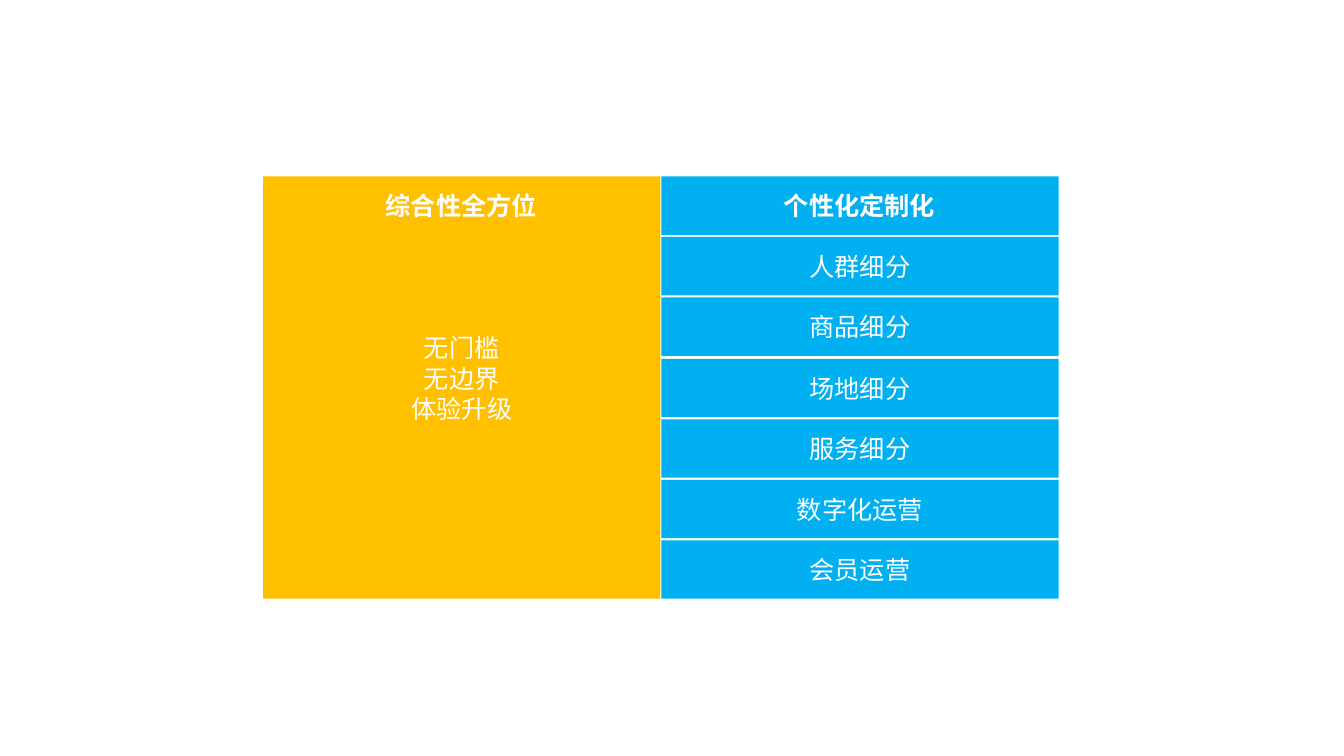
from lxml.etree import SubElement
from pptx import Presentation
from pptx.dml.color import RGBColor
from pptx.enum.shapes import MSO_SHAPE as Shape
from pptx.enum.text import MSO_ANCHOR as Anchor, MSO_AUTO_SIZE as AutoSize, PP_ALIGN as Align
from pptx.oxml.ns import qn
from pptx.util import Emu, Pt

EMU_PER_PX = 9144  # 100 px to the inch
COLORS = {"amber": "FFC000", "sky": "00B0F0", "white": "FFFFFF"}
FONT = "Noto Sans CJK SC"
LABEL_FORMAT = {
    "margin_left": 0, "margin_right": 0, "margin_top": 0, "margin_bottom": 0,
    "word_wrap": False, "auto_size": AutoSize.SHAPE_TO_FIT_TEXT,
}
BLOCK_FORMAT = {"vertical_anchor": Anchor.MIDDLE, "word_wrap": True}


def px(*lengths):
    return [Emu(length * EMU_PER_PX) for length in lengths]


def color(name):
    return RGBColor.from_string(COLORS[name])


class Builder:
    def __init__(self, width, height):
        self.deck = Presentation()
        self.deck.slide_width, self.deck.slide_height = px(width, height)
        self.page = self.deck.slides.add_slide(self.deck.slide_layouts[6])

    def fill_text(self, frame, lines, frame_format, bold=False):
        for name, value in frame_format.items():
            setattr(frame, name, value)
        span_format = {"name": FONT, "size": Pt(18), "bold": bold}
        for index, line in enumerate(lines):
            para = frame.add_paragraph() if index else frame.paragraphs[0]
            para.alignment = Align.CENTER
            span = para.add_run()
            span.text = line
            for name, value in span_format.items():
                setattr(span.font, name, value)
            span.font.color.rgb = color("white")
            # East Asian typeface
            SubElement(span.font._element, qn("a:ea"), typeface=FONT)

    def block(self, left, top, width, height, fill, text=None):
        box = self.page.shapes.add_shape(Shape.RECTANGLE, *px(left, top, width, height))
        box.shadow.inherit = False
        box.fill.solid()
        box.fill.fore_color.rgb = color(fill)
        box.line.fill.background()
        if text:
            self.fill_text(box.text_frame, [text], BLOCK_FORMAT)

    def label(self, left, top, width, height, lines, bold=False):
        box = self.page.shapes.add_textbox(*px(left, top, width, height))
        self.fill_text(box.text_frame, lines, LABEL_FORMAT, bold)


def main():
    builder = Builder(1333, 750)
    left_column, right_column, top, width, row_height = 261, 656, 175, 394, 58
    details = ["人群细分", "商品细分", "场地细分", "服务细分", "数字化运营", "会员运营"]
    last_top = 536
    pitch = (last_top - top) / len(details)

    # Column backgrounds
    builder.block(left_column, top, width, last_top + row_height - top, "amber")
    builder.block(right_column, top, width, row_height, "sky")

    # Column titles
    for left, title in ((382, "综合性全方位"), (777, "个性化定制化")):
        builder.label(left, 189, 151, 30, [title], bold=True)

    # Right column rows
    for row, detail in enumerate(details, start=1):
        builder.block(right_column, round(top + row * pitch), width, row_height, "sky", detail)

    # Left column message
    builder.label(407, 330, 102, 91, ["无门槛", "无边界", "体验升级"])

    builder.deck.save("out.pptx")


if __name__ == "__main__":
    main()
